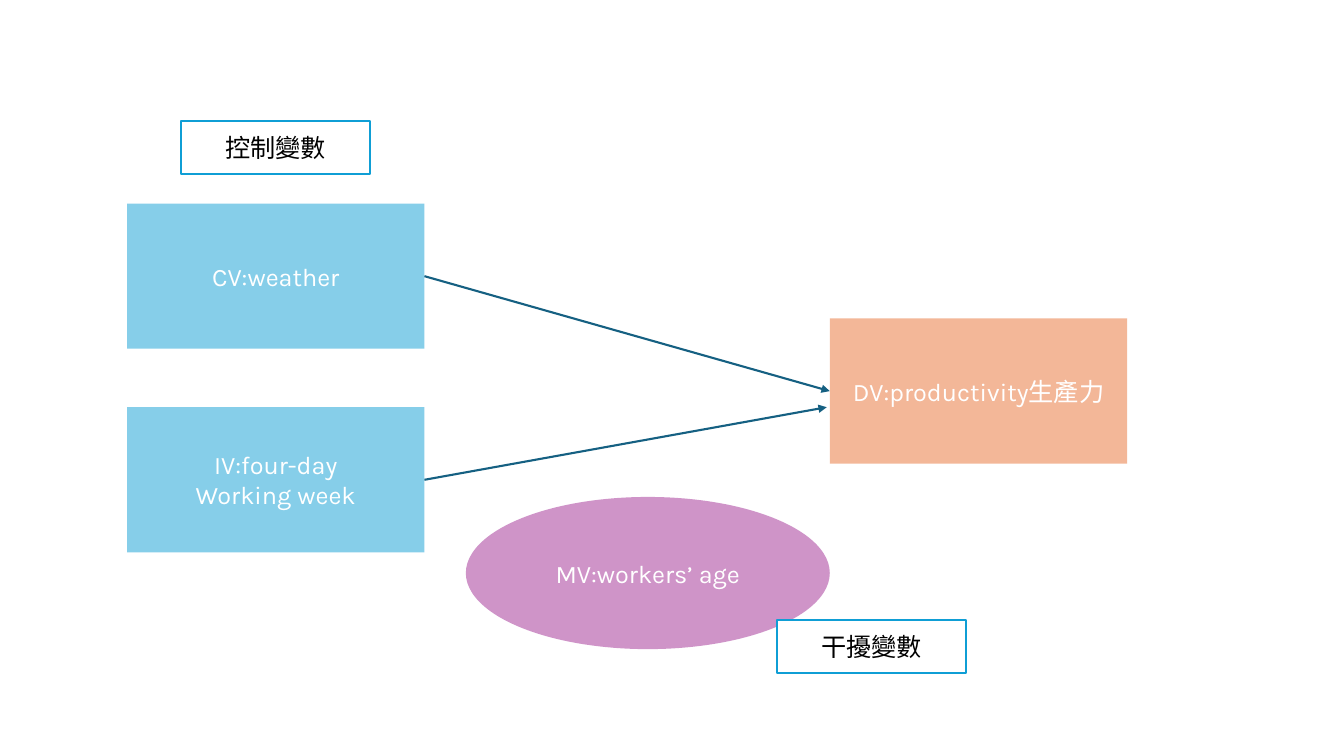
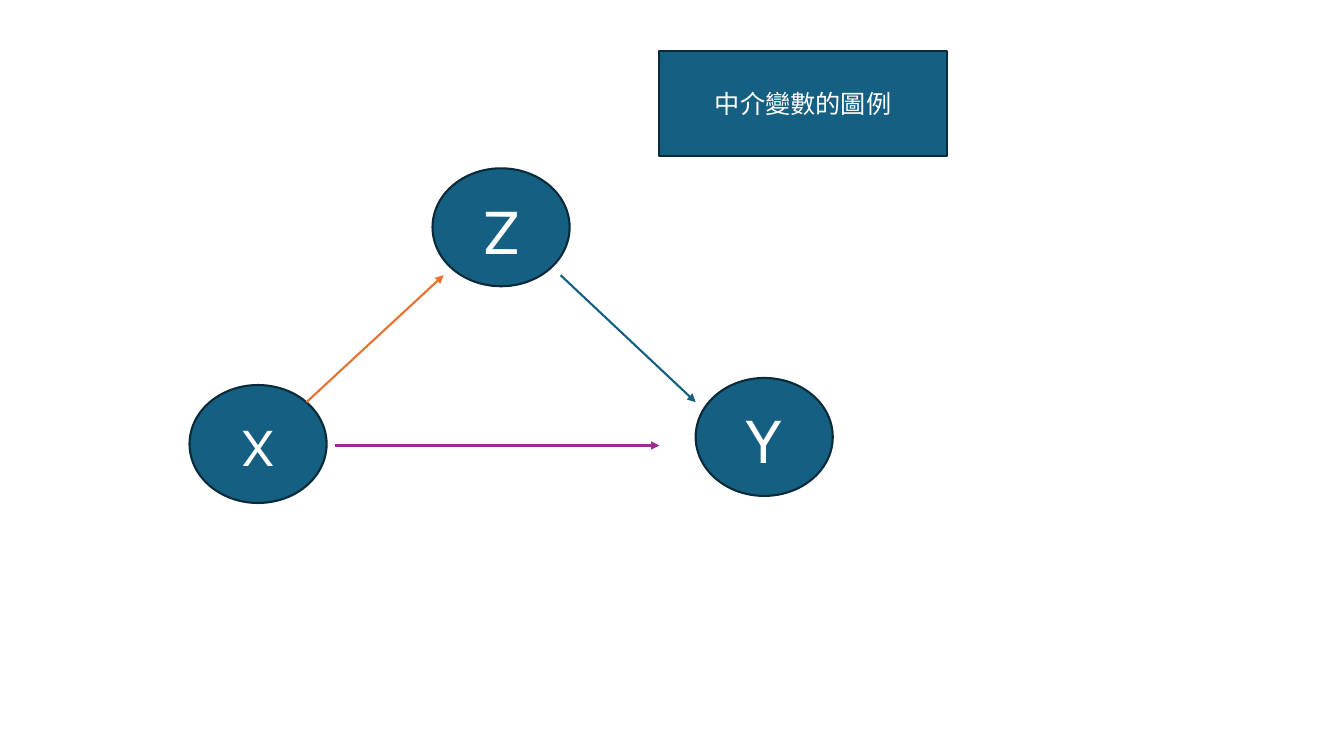
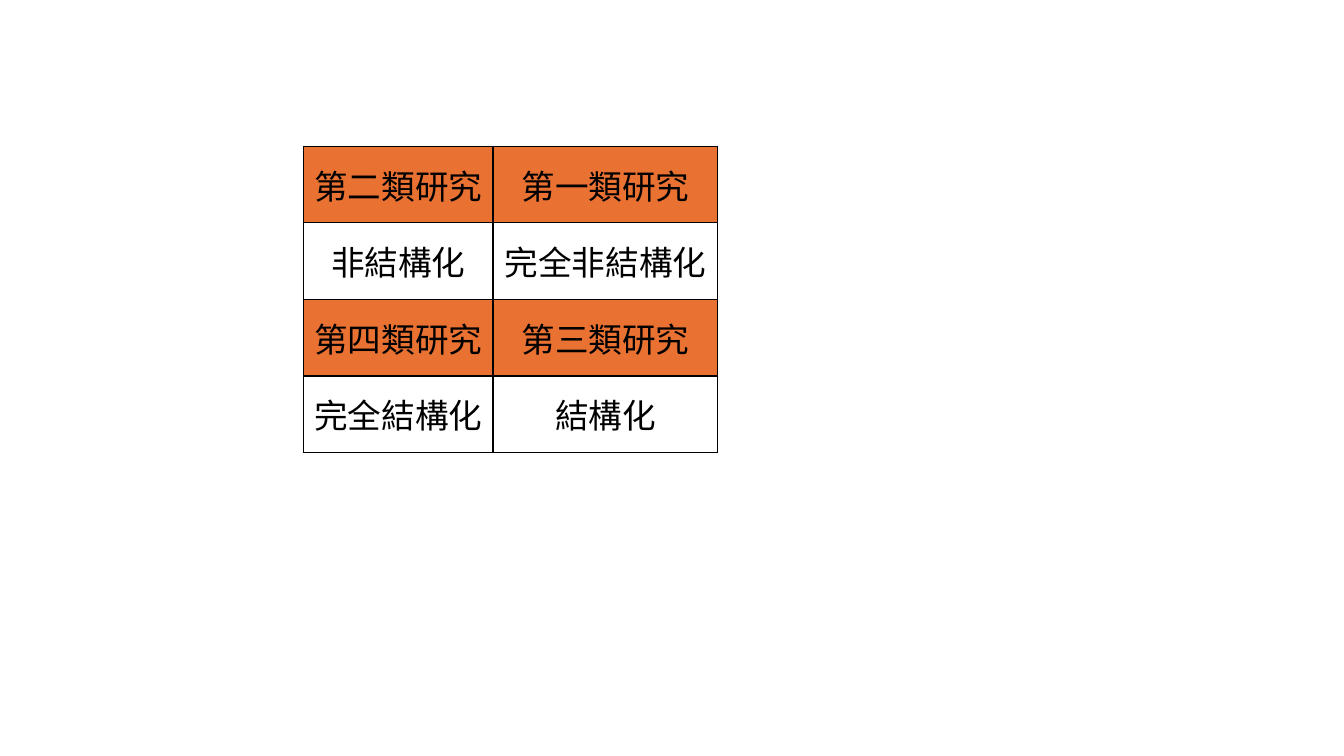
from lxml import etree
from pptx import Presentation
from pptx.dml.color import RGBColor
from pptx.enum.shapes import MSO_CONNECTOR, MSO_SHAPE
from pptx.enum.text import MSO_ANCHOR, PP_ALIGN
from pptx.oxml.ns import qn
from pptx.util import Inches, Pt

COLORS = {
    "white": "FFFFFF", "black": "000000", "sky": "0F9ED5", "orange": "E97132",
    "purple": "A02B93", "teal": "156082", "navy": "092A39",
}
LATIN, ASIAN = "Karla", "Noto Sans CJK SC"
LINE = 1.5
RECT, OVAL = MSO_SHAPE.RECTANGLE, MSO_SHAPE.OVAL
RIGHT, LEFT = 3, 1

VARIABLE, LABEL, AGE, NODE, CAPTION = (2.95, 1.44), (1.87, 0.53), (3.61, 1.51), (1.36, 1.17), (2.85, 1.04)
STYLES = {
    "cause": dict(kind=RECT, size=VARIABLE, fill="sky", alpha=50),
    "effect": dict(kind=RECT, size=VARIABLE, fill="orange", alpha=50),
    "moderator": dict(kind=OVAL, size=AGE, fill="purple", alpha=50),
    "label": dict(kind=RECT, size=LABEL, fill="white", line="sky", color="black"),
    "caption": dict(kind=RECT, size=CAPTION, fill="teal", line="navy"),
    "node": dict(kind=OVAL, size=NODE, fill="teal", line="navy"),
}

VARIABLES = [
    ("moderator", "MV:workers’ age", (4.62, 4.93), 18),
    ("label", "控制變數", (1.8, 1.2), 18),
    ("label", "干擾變數", (7.71, 6.15), 18),
    ("cause", "CV:weather", (1.26, 2.02), 18),
    ("effect", "DV:productivity生產力", (8.23, 3.16), 18),
    ("cause", "IV:four-day\nWorking week", (1.26, 4.04), 18),
]
MEDIATION = [
    ("caption", "中介變數的圖例", (6.54, 0.51), 18),
    ("node", "X", (1.88, 3.82), 40),
    ("node", "Y", (6.9, 3.75), 48),
    ("node", "Z", (4.29, 1.67), 48),
]
MEDIATION_ARROWS = [
    ((3.04, 3.99), (4.4, 2.73), "orange"),
    ((3.32, 4.42), (6.54, 4.42), "purple"),
    ((5.56, 2.73), (6.9, 3.99), "teal"),
]
STUDY_TYPES = [
    ("第二類研究", "第一類研究"),
    ("非結構化", "完全非結構化"),
    ("第四類研究", "第三類研究"),
    ("完全結構化", "結構化"),
]
STUDY_COLUMNS, STUDY_ROW = (1.88, 2.23), 0.76


def rgb(name):
    return RGBColor.from_string(COLORS[name])


def write(frame, text, size, color, latin=LATIN):
    frame.text = text
    for para in frame.paragraphs:
        para.alignment = PP_ALIGN.CENTER
        font = para.font
        font.size, font.name = Pt(size), latin
        font.color.rgb = rgb(color)
        asian = etree.SubElement(font._rPr, qn("a:ea"))
        asian.set("typeface", ASIAN)


def add_box(page, style, text, place, text_size):
    look = STYLES[style]
    box = page.shapes.add_shape(look["kind"], *map(Inches, place + look["size"]))
    box.shadow.inherit = False
    box.fill.solid()
    box.fill.fore_color.rgb = rgb(look["fill"])
    if "alpha" in look:
        tint = box.fill._xPr.find(".//" + qn("a:srgbClr"))
        etree.SubElement(tint, qn("a:alpha")).set("val", str(look["alpha"] * 1000))
    if "line" in look:
        box.line.color.rgb = rgb(look["line"])
        box.line.width = Pt(LINE)
    else:
        box.line.fill.background()
    box.text_frame.word_wrap = True
    box.text_frame.vertical_anchor = MSO_ANCHOR.MIDDLE
    write(box.text_frame, text, text_size, look.get("color", "white"))
    return box


def add_arrow(page, start, end, color):
    arrow = page.shapes.add_connector(MSO_CONNECTOR.STRAIGHT, *map(Inches, start + end))
    arrow.line.color.rgb = rgb(color)
    arrow.line.width = Pt(LINE)
    etree.SubElement(arrow.line._get_or_add_ln(), qn("a:tailEnd")).set("type", "triangle")
    etree.SubElement(arrow._element.spPr, qn("a:effectLst"))
    return arrow


def add_border(cell):
    properties = cell._tc.get_or_add_tcPr()
    for side in ("lnL", "lnR", "lnT", "lnB"):
        edge = etree.SubElement(properties, qn("a:" + side), w=str(Pt(1)))
        solid = etree.SubElement(edge, qn("a:solidFill"))
        etree.SubElement(solid, qn("a:srgbClr"), val=COLORS["black"])


def build_variables(page):
    boxes = {text[:2]: add_box(page, style, text, place, size)
             for style, text, place, size in VARIABLES}
    weather = add_arrow(page, (4.2, 2.74), (8.23, 3.88), "teal")
    weather.begin_connect(boxes["CV"], RIGHT)
    weather.end_connect(boxes["DV"], LEFT)
    week = add_arrow(page, (4.2, 4.76), (8.2, 4.04), "teal")
    week.begin_connect(boxes["IV"], RIGHT)


def build_mediation(page):
    for item in MEDIATION:
        add_box(page, *item)
    for item in MEDIATION_ARROWS:
        add_arrow(page, *item)


def build_study_types(page):
    rows, columns = len(STUDY_TYPES), len(STUDY_COLUMNS)
    area = (3.01, 1.45, sum(STUDY_COLUMNS), rows * STUDY_ROW)
    table = page.shapes.add_table(rows, columns, *map(Inches, area)).table
    table.first_row = table.horz_banding = False
    for column, width in zip(table.columns, STUDY_COLUMNS):
        column.width = Inches(width)
    for row, texts in enumerate(STUDY_TYPES):
        for column, text in enumerate(texts):
            cell = table.cell(row, column)
            cell.vertical_anchor = MSO_ANCHOR.MIDDLE
            cell.margin_left = cell.margin_right = Inches(0.05)
            add_border(cell)
            cell.fill.solid()
            cell.fill.fore_color.rgb = rgb("white" if row % 2 else "orange")
            write(cell.text_frame, text, 24, "black", ASIAN)


def main():
    deck = Presentation()
    deck.slide_width, deck.slide_height = Inches(13.33), Inches(7.5)
    for build in (build_variables, build_mediation, build_study_types):
        build(deck.slides.add_slide(deck.slide_layouts[6]))
    deck.save("out.pptx")


if __name__ == "__main__":
    main()
